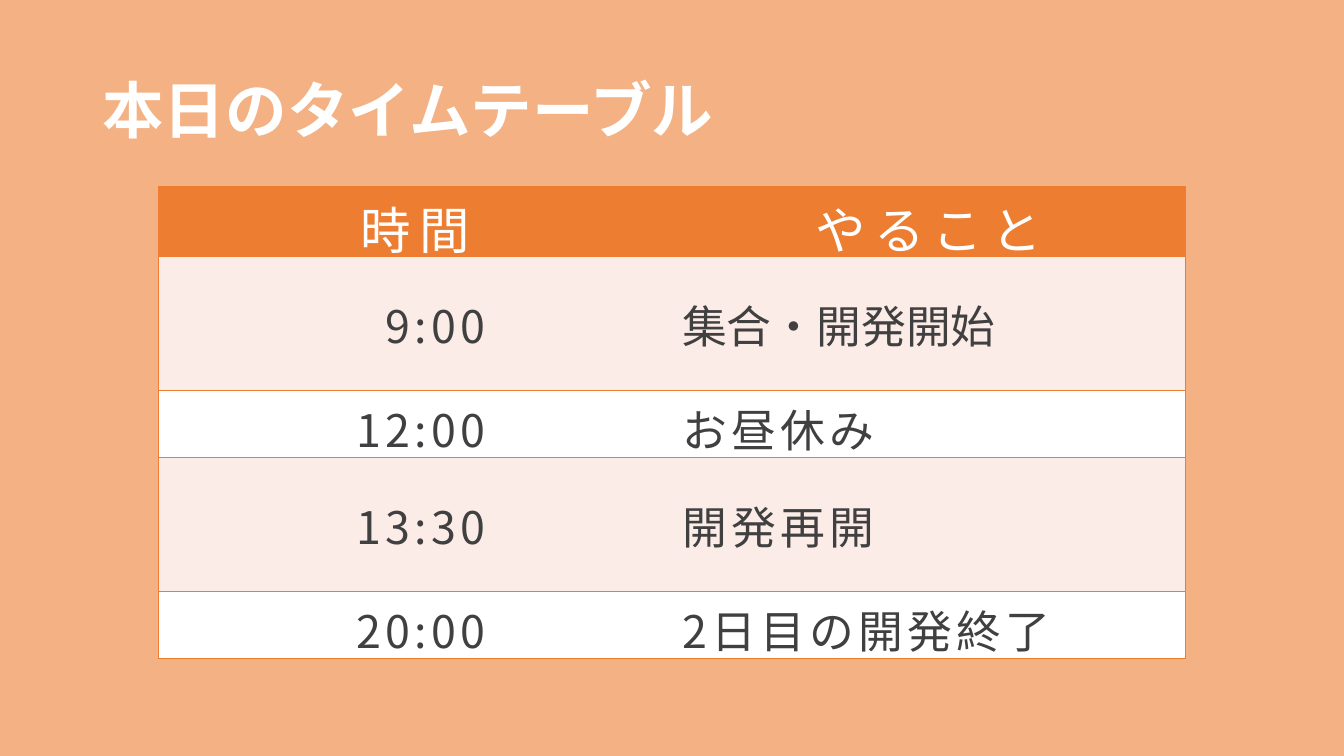
from lxml import etree
from pptx import Presentation
from pptx import util as u
from pptx.dml import color
from pptx.enum import text
from pptx.oxml import ns

NO_STYLE = "{2D5ABB26-0587-4C30-8999-92F81FD0307C}"
ORANGE, WHITE, PINK, GREY = "ED7D31", "FFFFFF", "FCECE8", "404040"


def rgb(value):
    """Turn a hex string into a colour."""
    return color.RGBColor.from_string(value)


class SlideMaker:
    """Holds the style and the current slide."""

    font = "Noto Sans CJK JP"

    def __init__(self, slide, background):
        """Take the slide and colour its background."""
        self.slide = slide
        slide.background.fill.solid()
        slide.background.fill.fore_color.rgb = rgb(background)

    def label(self, frame, words, ink, spacing=0, align="LEFT", **formats):
        """Put one formatted paragraph into a text frame."""
        paragraph = frame.paragraphs[0]
        paragraph.alignment = getattr(text.PP_ALIGN, align)
        run = paragraph.add_run()
        run.text = words
        for name, value in {"name": self.font, **formats}.items():
            setattr(run.font, name, value)
        run.font.color.rgb = rgb(ink)
        properties = run._r.get_or_add_rPr()
        properties.set("spc", str(spacing * 100))
        etree.SubElement(properties, ns.qn("a:ea"), typeface=self.font)
        return paragraph

    def title(self, words, box):
        """Add the heading."""
        frame = self.slide.shapes.add_textbox(*map(u.Cm, box)).text_frame
        frame.word_wrap = True
        frame.vertical_anchor = text.MSO_ANCHOR.MIDDLE
        heading = self.label(frame, words, WHITE, size=u.Pt(44), bold=True)
        heading.line_spacing = 0.9

    def border(self, cell, sides):
        """Draw orange lines on the given sides of a cell."""
        for side in sides:
            line = etree.SubElement(cell._tc.get_or_add_tcPr(),
                                    ns.qn(f"a:ln{side}"), w=str(u.Pt(1)))
            fill = etree.SubElement(line, ns.qn("a:solidFill"))
            etree.SubElement(fill, ns.qn("a:srgbClr"), val=ORANGE)

    def cell(self, cell, words, sides, fill, formats, margins):
        """Fill one table cell."""
        self.border(cell, sides)
        cell.fill.solid()
        cell.fill.fore_color.rgb = rgb(fill)
        for name, value in margins.items():
            setattr(cell, name, value)
        self.label(cell.text_frame, words, **formats)

    def timetable(self, headings, schedule, box, heights):
        """Add the table of times and activities."""
        table = self.slide.shapes.add_table(
            len(schedule) + 1, len(headings), *map(u.Cm, box)).table
        table.first_row = table.horz_banding = False
        table._tbl.tblPr.find(ns.qn("a:tableStyleId")).text = NO_STYLE
        for row, height in zip(table.rows, heights):
            row.height = u.Cm(height)

        outer_sides = ("LTB", "RTB")
        header = dict(ink=WHITE, size=u.Pt(36), spacing=6, align="CENTER")
        for column, heading in enumerate(headings):
            self.cell(table.cell(0, column), heading, outer_sides[column],
                      ORANGE, header, {})

        middle = {"vertical_anchor": text.MSO_ANCHOR.MIDDLE}
        time_margins = {**middle, "margin_right": u.Cm(4.7)}
        for row, (time, activity, spacing) in enumerate(schedule, 1):
            fill = PINK if row % 2 else WHITE
            body = dict(ink=GREY, size=u.Pt(32))
            self.cell(table.cell(row, 0), time, outer_sides[0], fill,
                      {**body, "spacing": 3, "align": "RIGHT"}, time_margins)
            self.cell(table.cell(row, 1), activity, outer_sides[1], fill,
                      {**body, "spacing": spacing}, middle)


def main():
    """Build and save the timetable slide."""
    deck = Presentation()
    deck.slide_width, deck.slide_height = u.Cm(33.87), u.Cm(19.05)
    maker = SlideMaker(deck.slides.add_slide(deck.slide_layouts[6]), "F4B183")
    maker.title("本日のタイムテーブル", (2.33, 1.01, 29.21, 3.68))
    schedule = [
        ("9:00", "集合・開発開始", 0),
        ("12:00", "お昼休み", 3),
        ("13:30", "開発再開", 3),
        ("20:00", "2日目の開発終了", 3),
    ]
    maker.timetable(("時間", "やること"), schedule, (3.99, 4.69, 25.89, 11.8),
                    (1.68, 3.38, 1.68, 3.38, 1.68))
    deck.save("out.pptx")


main()
